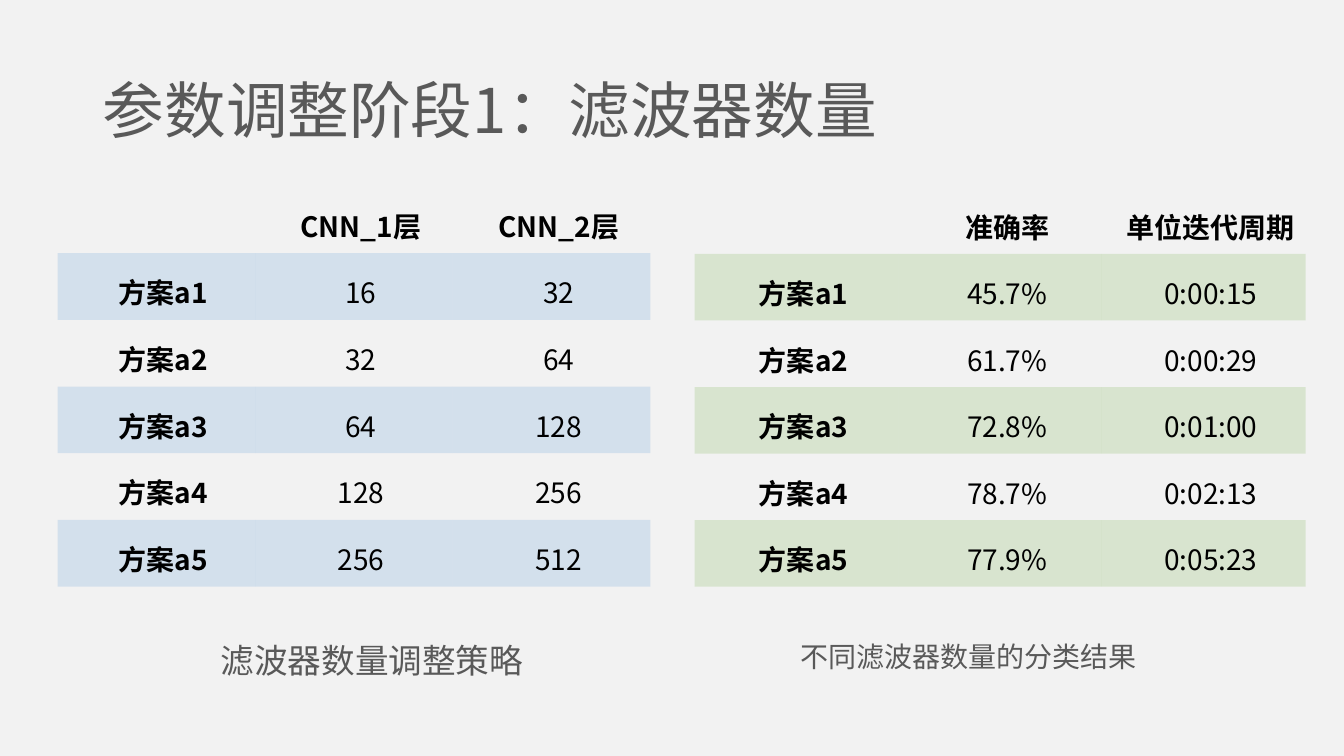
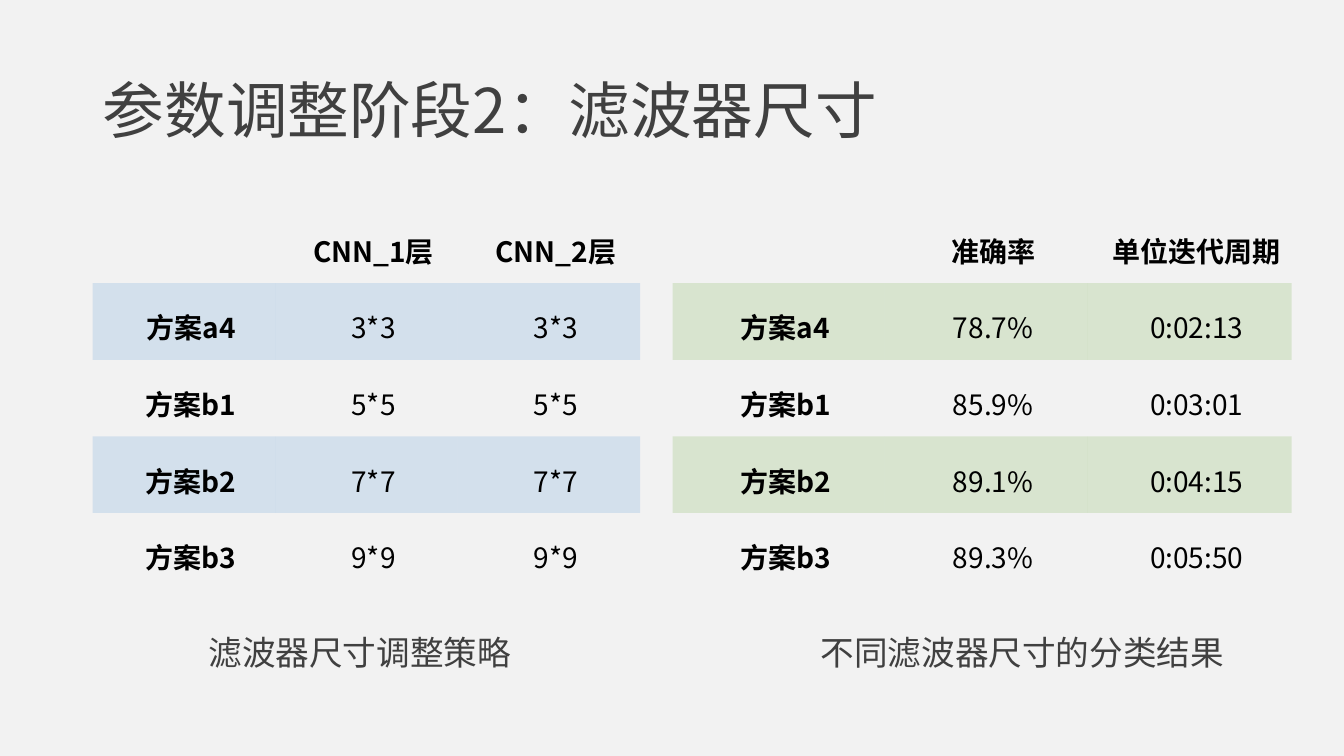
import pptx
import pptx.dml.color
import pptx.enum.text
import pptx.oxml
import pptx.oxml.ns
import pptx.util
from lxml import etree

RGBColor = pptx.dml.color.RGBColor
PAPER = RGBColor(0xF2, 0xF2, 0xF2)
BLACK = RGBColor(0x00, 0x00, 0x00)
GREY = RGBColor(0x59, 0x59, 0x59)
DARK_GREY = RGBColor(0x40, 0x40, 0x40)
BLUE = RGBColor(0x5B, 0x9B, 0xD5)
GREEN = RGBColor(0x70, 0xAD, 0x47)

FONT = "Noto Sans CJK SC"
PLAIN_TABLE_STYLE = "{2D5ABB26-0587-4C30-8999-92F81FD0307C}"
BAND_OPACITY = 20
SLIDE_WIDTH = pptx.util.Inches(13.33)
SLIDE_HEIGHT = pptx.util.Inches(7.5)
TITLE_BOX = (6.9, 5.33, 86.27, 19.33)

qn = pptx.oxml.ns.qn
Align = pptx.enum.text.PP_ALIGN
Anchor = pptx.enum.text.MSO_ANCHOR
AutoSize = pptx.enum.text.MSO_AUTO_SIZE


def place(box):
    """Turn a box in percent of the slide into left, top, width, height."""
    left, top, width, height = box
    return (int(SLIDE_WIDTH * left / 100), int(SLIDE_HEIGHT * top / 100),
            int(SLIDE_WIDTH * width / 100), int(SLIDE_HEIGHT * height / 100))


def add_run(paragraph, text, size, color, bold=False):
    run = paragraph.add_run()
    run.text = text
    font = run.font
    font.size = pptx.util.Pt(size)
    font.bold = bold
    font.color.rgb = color
    font.name = FONT
    etree.SubElement(run._r.get_or_add_rPr(), qn("a:ea"), typeface=FONT)


def add_title(slide, text, color):
    title = slide.shapes.title
    title.left, title.top, title.width, title.height = place(TITLE_BOX)
    frame = title.text_frame
    frame.word_wrap = True
    frame.auto_size = AutoSize.NONE
    frame.vertical_anchor = Anchor.MIDDLE
    paragraph = frame.paragraphs[0]
    paragraph.alignment = Align.LEFT
    paragraph.line_spacing = 0.9
    add_run(paragraph, text, 44, color)


def add_caption(slide, box, text, size, color):
    frame = slide.shapes.add_textbox(*place(box)).text_frame
    frame.word_wrap = False
    frame.auto_size = AutoSize.SHAPE_TO_FIT_TEXT
    add_run(frame.paragraphs[0], text, size, color)


def fill_band(cell, color):
    cell.fill.solid()
    cell.fill.fore_color.rgb = color
    for tint in cell._tc.iter(qn("a:srgbClr")):
        etree.SubElement(tint, qn("a:alpha"), val=str(BAND_OPACITY * 1000))


def fill_cell(cell, text, bold):
    cell.vertical_anchor = Anchor.MIDDLE
    cell.margin_left = cell.margin_right = pptx.util.Inches(0.07)
    cell.margin_top = cell.margin_bottom = 0
    if not text:
        return
    paragraph = cell.text_frame.paragraphs[0]
    paragraph.alignment = Align.CENTER
    paragraph.line_spacing = 1.25
    properties = paragraph._p.get_or_add_pPr()
    properties.set("marL", "0")
    properties.set("indent", str(pptx.util.Inches(0.14)))
    add_run(paragraph, text, 20, BLACK, bold)


def add_scheme_table(slide, box, rows, band_color, column_shares=(1, 1, 1)):
    """Place a table with bold headings whose odd body rows are tinted."""
    left, top, width, height = place(box)
    frame = slide.shapes.add_table(len(rows), len(column_shares), left, top, width, height)
    table = frame.table
    for style in frame._element.iter(qn("a:tableStyleId")):
        style.text = PLAIN_TABLE_STYLE
    table.horz_banding = False
    for column, share in zip(table.columns, column_shares):
        column.width = int(width * share / sum(column_shares))
    for r, values in enumerate(rows):
        table.rows[r].height = height // len(rows)
        for c, text in enumerate(values):
            cell = table.cell(r, c)
            if r % 2:
                fill_band(cell, band_color)
            else:
                cell.fill.background()
            fill_cell(cell, text, bold=r == 0 or c == 0)


def add_stage_slide(prs, title, color, schemes, strategy, results):
    """Build one tuning stage: strategy table at left, result table at right."""
    slide = prs.slides.add_slide(prs.slide_layouts[5])
    add_title(slide, title, color)
    sides = ((strategy, ("CNN_1层", "CNN_2层"), BLUE),
             (results, ("准确率", "单位迭代周期"), GREEN))
    for side, headings, band_color in sides:
        rows = [("", *headings)]
        rows += [("方案" + scheme, *values) for scheme, values in zip(schemes, side["values"])]
        add_scheme_table(slide, side["table_box"], rows, band_color,
                         side.get("column_shares", (1, 1, 1)))
        add_caption(slide, side["caption_box"], side["caption"],
                    side.get("caption_size", 24), color)


def main():
    prs = pptx.Presentation()
    prs.slide_width, prs.slide_height = SLIDE_WIDTH, SLIDE_HEIGHT
    background = prs.slide_master.background.fill
    background.solid()
    background.fore_color.rgb = PAPER

    add_stage_slide(
        prs, "参数调整阶段1：滤波器数量", GREY, ("a1", "a2", "a3", "a4", "a5"),
        strategy={
            "table_box": (4.28, 24.67, 44.11, 52.93),
            "values": [(str(16 * 2 ** n), str(32 * 2 ** n)) for n in range(5)],
            "caption_box": (15.68, 84, 24.83, 6.67),
            "caption": "滤波器数量调整策略",
        },
        results={
            "table_box": (51.69, 24.8, 45.46, 52.8),
            "values": [("45.7%", "0:00:15"), ("61.7%", "0:00:29"), ("72.8%", "0:01:00"),
                       ("78.7%", "0:02:13"), ("77.9%", "0:05:23")],
            "caption_box": (58.81, 84, 27.23, 5.87),
            "caption": "不同滤波器数量的分类结果",
            "caption_size": 20,
        })

    add_stage_slide(
        prs, "参数调整阶段2：滤波器尺寸", DARK_GREY, ("a4", "b1", "b2", "b3"),
        strategy={
            "table_box": (6.9, 27.33, 40.74, 50.67),
            "values": [(f"{n}*{n}",) * 2 for n in (3, 5, 7, 9)],
            "caption_box": (14.78, 82.93, 24.91, 6.67),
            "caption": "滤波器尺寸调整策略",
        },
        results={
            "table_box": (50.04, 27.33, 46.06, 50.67),
            "column_shares": (2.1, 2.02, 2.02),
            "values": [("78.7%", "0:02:13"), ("85.9%", "0:03:01"),
                       ("89.1%", "0:04:15"), ("89.3%", "0:05:50")],
            "caption_box": (60.32, 82.93, 32.48, 6.67),
            "caption": "不同滤波器尺寸的分类结果",
        })

    prs.save("out.pptx")


if __name__ == "__main__":
    main()
